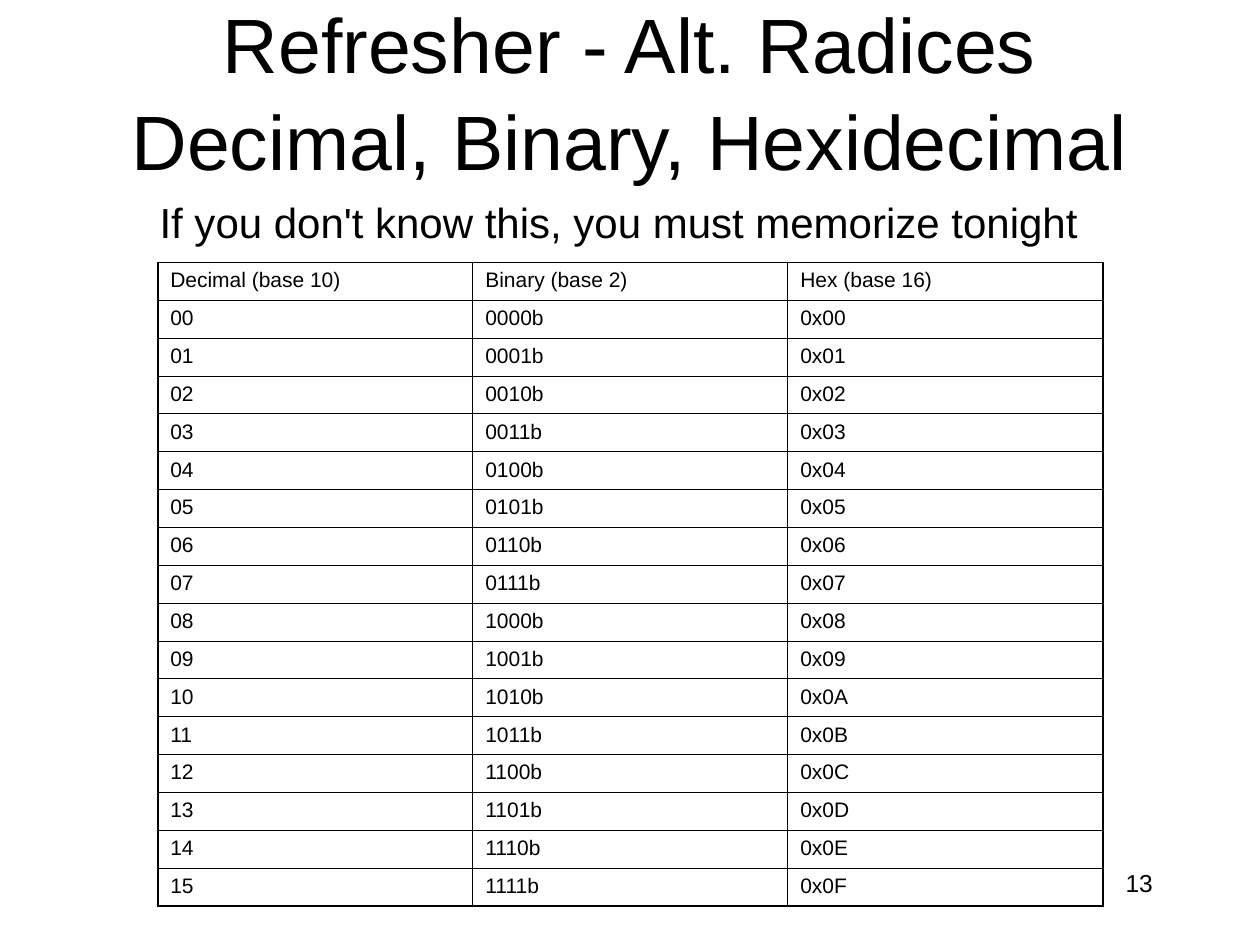
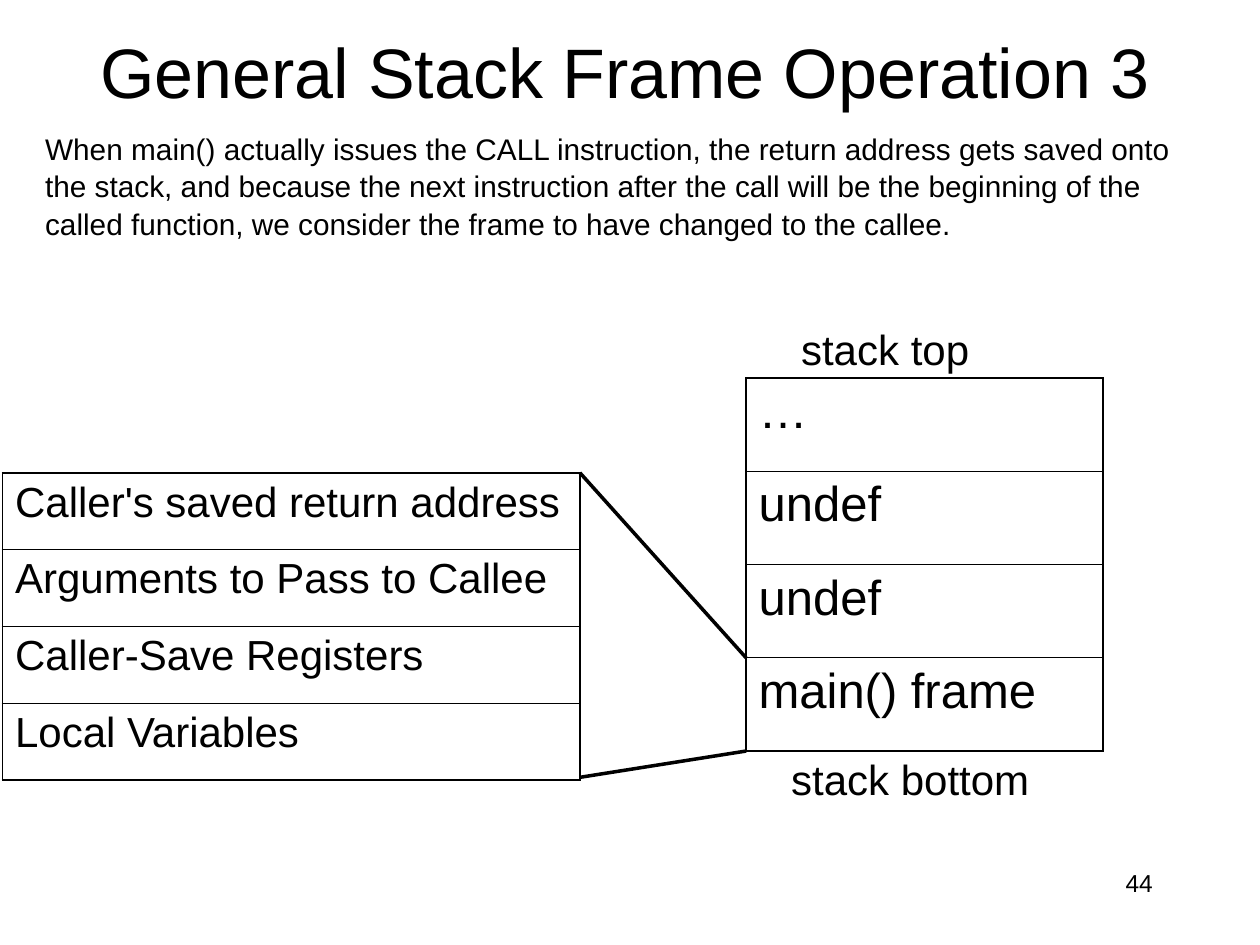
from lxml import etree
from pptx import Presentation
from pptx.dml.color import RGBColor
from pptx.enum.shapes import MSO_CONNECTOR
from pptx.enum.text import MSO_ANCHOR, PP_ALIGN
from pptx.oxml.ns import qn
from pptx.util import Cm, Pt

LEFT, CENTER, RIGHT = PP_ALIGN.LEFT, PP_ALIGN.CENTER, PP_ALIGN.RIGHT
TOP, MIDDLE = MSO_ANCHOR.TOP, MSO_ANCHOR.MIDDLE
STRAIGHT = MSO_CONNECTOR.STRAIGHT

COLORS = {"ink": "000000", "paper": "FFFFFF"}
FONT = "Arial"
LINE_SPACING = 1.05
OUTER_BORDER, INNER_BORDER = 1.08, 0.45
NUMBER_BOX = (18.21, 17.35, 5.28, 1.27)


def color(name):
    return RGBColor.from_string(COLORS[name])


def set_font(paragraph, size):
    paragraph.font.name = FONT
    paragraph.font.size = Pt(size)
    paragraph.font.color.rgb = color("ink")


def add_text(slide, box, text, size, align=LEFT, anchor=TOP, wrap=True):
    frame = slide.shapes.add_textbox(*map(Cm, box)).text_frame
    frame.word_wrap = wrap
    frame.vertical_anchor = anchor
    paragraph = frame.paragraphs[0]
    paragraph.text = text
    paragraph.alignment = align
    paragraph.line_spacing = LINE_SPACING
    set_font(paragraph, size)


def add_border(cell, side, width):
    border = etree.SubElement(cell._tc.get_or_add_tcPr(), qn(f"a:ln{side}"), w=str(Pt(width)))
    fill = etree.SubElement(border, qn("a:solidFill"))
    etree.SubElement(fill, qn("a:srgbClr"), val=COLORS["ink"])


def add_grid(slide, box, rows, size, inner=INNER_BORDER):
    row_count, column_count = len(rows), len(rows[0])
    table = slide.shapes.add_table(row_count, column_count, *map(Cm, box)).table
    table.first_row = table.horz_banding = False
    for column in table.columns:
        column.width = Cm(box[2] / column_count)
    for r, values in enumerate(rows):
        table.rows[r].height = Cm(box[3] / row_count)
        for c, value in enumerate(values):
            cell = table.cell(r, c)
            cell.text = value
            set_font(cell.text_frame.paragraphs[0], size)
            outer_sides = {
                "L": c == 0,
                "R": c == column_count - 1,
                "T": r == 0,
                "B": r == row_count - 1,
            }
            for side, is_outer in outer_sides.items():
                add_border(cell, side, OUTER_BORDER if is_outer else inner)
            cell.fill.background()


def add_zoom_line(slide, start, end):
    line = slide.shapes.add_connector(STRAIGHT, *map(Cm, start + end))
    line.line.color.rgb = color("ink")
    line.line.width = Pt(2)
    etree.SubElement(line._element.spPr, qn("a:effectLst"))


def add_slide(deck, number, title, title_box, title_size):
    slide = deck.slides.add_slide(deck.slide_layouts[6])
    slide.background.fill.solid()
    slide.background.fill.fore_color.rgb = color("paper")
    add_text(slide, NUMBER_BOX, number, 14, RIGHT)
    add_text(slide, title_box, title, title_size, CENTER, MIDDLE)
    return slide


def add_stack(slide, box, frames):
    left, top, width, height = box
    add_grid(slide, box, [[frame] for frame in frames], 28)
    add_text(slide, (left + 0.86, top - 1.27, 3.89, 1.27), "stack top", 24, wrap=False)
    add_text(slide, (left + 0.66, top + height - 0.12, 5.31, 1.27), "stack bottom", 24, wrap=False)


def add_frame_detail(slide, box, entries, stack_box, stack_size):
    left, top, width, height = box
    stack_left, stack_top, _, stack_height = stack_box
    stack_bottom = stack_top + stack_height
    frame_top = stack_bottom - stack_height / stack_size
    right = left + width
    add_zoom_line(slide, (right, top), (stack_left, frame_top))
    add_zoom_line(slide, (right, top + height - 0.06), (stack_left, stack_bottom))
    add_grid(slide, box, [[entry] for entry in entries], 24, OUTER_BORDER)


def build_radices(deck):
    slide = add_slide(deck, "13", "Refresher - Alt. Radices Decimal, Binary, Hexidecimal",
                      (1.9, 0.21, 21.59, 3.18), 44)
    header = ("Decimal (base 10)", "Binary (base 2)", "Hex (base 16)")
    numbers = [(f"{n:02d}", f"{n:04b}b", f"0x{n:02X}") for n in range(16)]
    add_grid(slide, (3.18, 5.29, 19.05, 12.95), [header] + numbers, 12)
    add_text(slide, (2.96, 3.81, 19.03, 1.27),
             "If you don't know this, you must memorize tonight", 24, CENTER, MIDDLE, False)


def build_stack_frame(deck):
    slide = add_slide(deck, "44", "General Stack Frame Operation 3",
                      (1.27, -0.21, 22.65, 3.18), 40)
    add_text(slide, (0.66, 2.47, 23.8, 3.3),
             "When main() actually issues the CALL instruction, the return address gets saved "
             "onto the stack, and because the next instruction after the call will be the "
             "beginning of the called function, we consider the frame to have changed to the "
             "callee.", 17)
    stack_box = (15.04, 7.62, 7.2, 7.52)
    frames = ("…", "undef", "undef", "main() frame")
    entries = ("Caller's saved return address", "Arguments to Pass to Callee",
               "Caller-Save Registers", "Local Variables")
    add_frame_detail(slide, (0.05, 9.53, 11.64, 6.2), entries, stack_box, len(frames))
    add_stack(slide, stack_box, frames)


def main():
    deck = Presentation()
    deck.slide_width, deck.slide_height = Cm(25.4), Cm(19.05)
    build_radices(deck)
    build_stack_frame(deck)
    deck.save("out.pptx")


if __name__ == "__main__":
    main()
